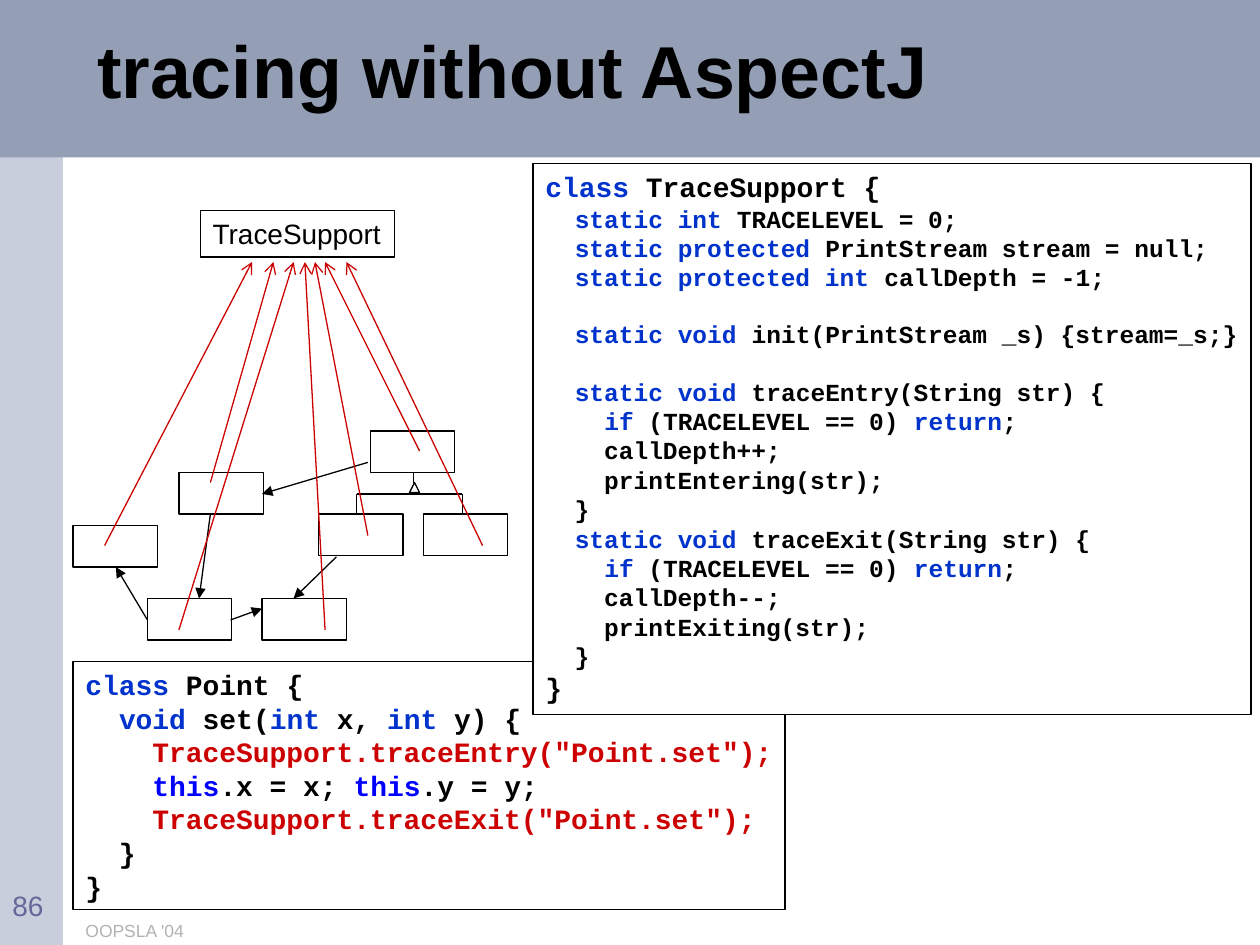
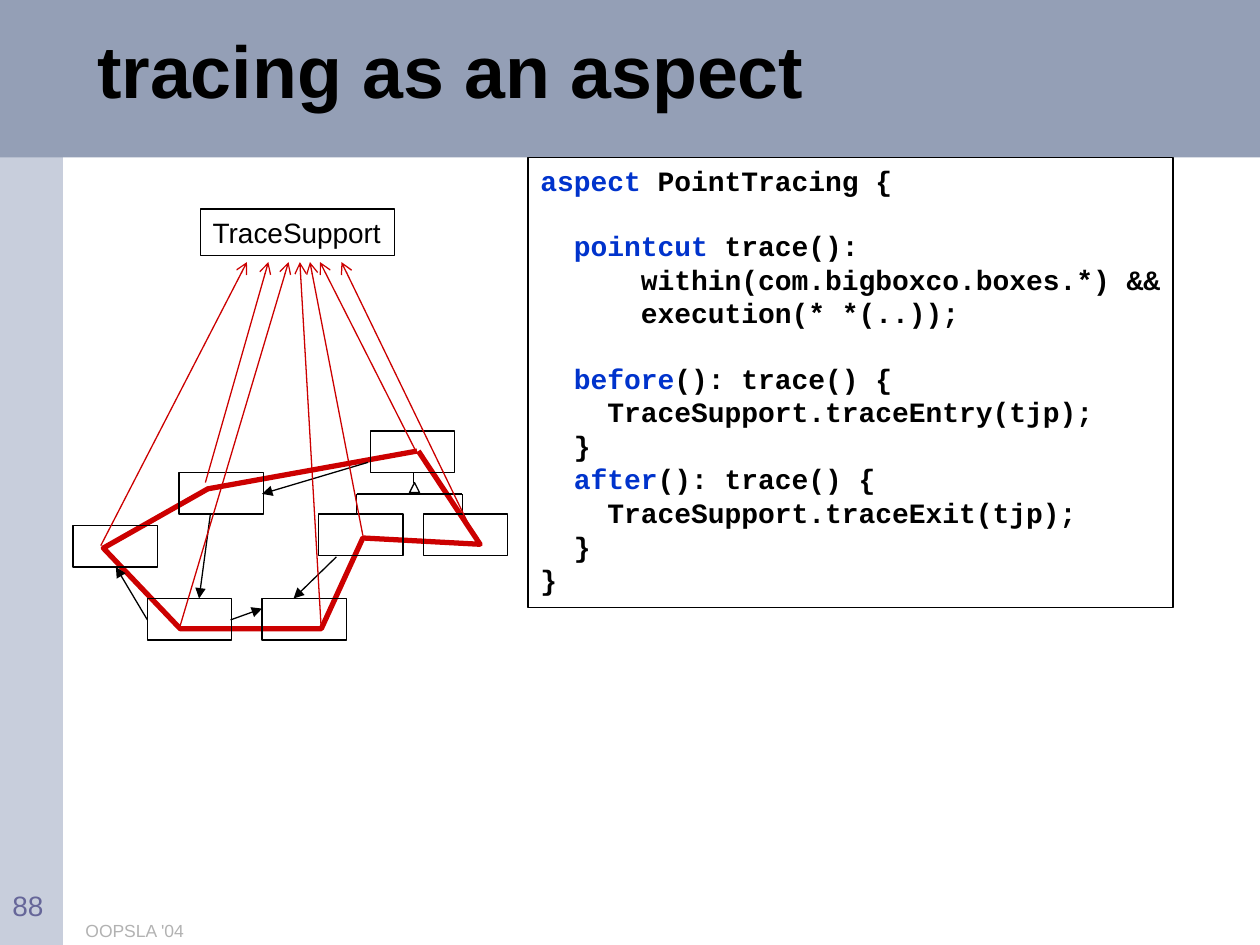
"""Build two slides comparing tracing code with and without an aspect."""
from lxml.etree import SubElement
from pptx import Presentation
from pptx.dml.color import RGBColor
from pptx.enum.shapes import MSO_CONNECTOR, MSO_SHAPE
from pptx.enum.text import MSO_ANCHOR, MSO_AUTO_SIZE, PP_ALIGN
from pptx.oxml.ns import qn
from pptx.util import Inches, Pt

COLORS = {
    "band": "949FB6", "side": "C8CEDC", "black": "000000", "white": "FFFFFF",
    "keyword": "0033CC", "this": "0000FF", "trace": "CC0000",
    "footer": "B2B2B2", "number": "666699",
}
SANS, MONO = "Arial", "Courier New"
LINE_HEIGHT = 1.13

# Backticks enclose keywords; a leading ~ marks a line of tracing code.
POINT_CODE = """\
`class` Point {
  `void` set(`int` x, `int` y) {
~    TraceSupport.traceEntry("Point.set");
    `this`.x = x; `this`.y = y;
~    TraceSupport.traceExit("Point.set");
  }
}"""

SUPPORT_CODE = """\
`class` TraceSupport {
  `static int` TRACELEVEL = 0;
  `static protected` PrintStream stream = null;
  `static protected int` callDepth = -1;

  `static void` init(PrintStream _s) {stream=_s;}

  `static void` traceEntry(String str) {
    `if` (TRACELEVEL == 0) `return`;
    callDepth++;
    printEntering(str);
  }
  `static void` traceExit(String str) {
    `if` (TRACELEVEL == 0) `return`;
    callDepth--;
    printExiting(str);
  }
}"""

ASPECT_CODE = """\
`aspect` PointTracing {

  `pointcut` trace():
      within(com.bigboxco.boxes.*) &&
      execution(* *(..));

  `before`(): trace() {
    TraceSupport.traceEntry(tjp);
  }
  `after`(): trace() {
    TraceSupport.traceExit(tjp);
  }
}"""

SLIDES = [
    {"title": "tracing without AspectJ", "number": "86", "label_top": 1.67,
     "tip_shift": 0, "outline": [],
     "callers": [(0.83, 4.33), (1.67, 3.83), (1.42, 5), (2.58, 5),
                 (2.92, 4.25), (3.33, 3.58), (3.83, 4.33)],
     "code": [(POINT_CODE, (0.58, 5.25, 5.65, 1.97), 16, None),
              (SUPPORT_CODE, (4.23, 1.3, 5.7, 4.37), 14, "white")]},
    {"title": "tracing as an aspect", "number": "88", "label_top": 1.66,
     "tip_shift": -0.04,
     "outline": [(3.31, 3.58), (1.65, 3.88), (0.82, 4.35), (1.43, 4.99),
                 (2.55, 4.99), (2.88, 4.27), (3.81, 4.32), (3.32, 3.58)],
     "callers": [(0.8, 4.33), (1.63, 3.83), (1.42, 5), (2.55, 5),
                 (2.88, 4.25), (3.3, 3.58), (3.8, 4.33)],
     "code": [(ASPECT_CODE, (4.19, 1.25, 5.12, 3.57), 16, None)]},
]
TIP_Y = 2.08
TIP_XS = [2, 2.17, 2.33, 2.42, 2.5, 2.58, 2.75]

CLASS_SIZE = (0.67, 0.33)
CLASSES = [(1.42, 3.75), (0.58, 4.17), (2.08, 4.75), (1.17, 4.75),
           (2.53, 4.08), (3.36, 4.08), (2.94, 3.42)]
REFERENCES = [((2.92, 3.67), (2.08, 3.92)), ((1.67, 4.08), (1.58, 4.75)),
              ((1.83, 4.92), (2.08, 4.83)), ((1.17, 4.92), (0.92, 4.5)),
              ((2.67, 4.42), (2.33, 4.75))]
INHERITANCE = [((2.83, 3.92), (3.67, 3.92)), ((2.83, 3.92), (2.83, 4.08)),
               ((3.67, 3.92), (3.67, 4.08)), ((3.28, 3.75), (3.28, 3.83))]


def rgb(name):
    return RGBColor.from_string(COLORS[name])


def style_font(font, size, color, name=SANS, bold=False):
    font.size, font.name, font.bold = Pt(size), name, bold
    font.color.rgb = rgb(color)


def add_box(shapes, at, fill=None, line="black", kind=MSO_SHAPE.RECTANGLE):
    sp = shapes.add_shape(kind, *map(Inches, at))
    sp.shadow.inherit = False
    if fill:
        sp.fill.solid()
        sp.fill.fore_color.rgb = rgb(fill)
    else:
        sp.fill.background()
    if line:
        sp.line.color.rgb = rgb(line)
        sp.line.width = Pt(0.75)
    else:
        sp.line.fill.background()
    return sp


def add_line(shapes, start, end, color="black", head=None):
    cxn = shapes.add_connector(MSO_CONNECTOR.STRAIGHT, *map(Inches, start + end))
    cxn.line.color.rgb = rgb(color)
    cxn.line.width = Pt(0.75)
    if head:
        SubElement(cxn.line._get_or_add_ln(), qn("a:tailEnd"), type=head)
    SubElement(cxn._element.spPr, qn("a:effectLst"))


def prepare_frame(sp, wrap=False):
    tf = sp.text_frame
    tf.word_wrap = wrap
    tf.auto_size = MSO_AUTO_SIZE.NONE
    tf.vertical_anchor = MSO_ANCHOR.TOP
    return tf


def write_line(sp, text, size, color, wrap=False):
    p = prepare_frame(sp, wrap).paragraphs[0]
    p.text = text
    p.alignment = PP_ALIGN.LEFT
    style_font(p.runs[0].font, size, color)


def add_code(shapes, code, at, body_size, fill):
    tf = prepare_frame(add_box(shapes, at, fill))
    lines = code.splitlines()
    p, gap = tf.paragraphs[0], 0
    for i, line in enumerate(lines):
        size = 16 if i in (0, len(lines) - 1) else body_size
        if not line:
            gap += size * LINE_HEIGHT
            continue
        if i:
            p = tf.add_paragraph()
        p.alignment = PP_ALIGN.LEFT
        if gap:
            p.space_before, gap = Pt(gap), 0
        plain = "trace" if line.startswith("~") else "black"
        for n, piece in enumerate(line.lstrip("~").split("`")):
            if piece:
                r = p.add_run()
                r.text = piece
                keyword = "this" if piece == "this" else "keyword"
                style_font(r.font, size, keyword if n % 2 else plain, MONO, True)


def add_class_diagram(slide):
    shapes = slide.shapes.add_group_shape().shapes
    for corner in CLASSES:
        add_box(shapes, corner + CLASS_SIZE)
    for start, end in REFERENCES:
        add_line(shapes, start, end, head="triangle")
    for start, end in INHERITANCE:
        add_line(shapes, start, end)
    add_box(shapes, (3.25, 3.83, 0.08, 0.08), kind=MSO_SHAPE.ISOSCELES_TRIANGLE)


def add_outline(slide, points):
    first, *rest = [tuple(map(Inches, point)) for point in points]
    builder = slide.shapes.build_freeform(*first)
    builder.add_line_segments(rest, close=False)
    sp = builder.convert_to_shape()
    sp.shadow.inherit = False
    sp.fill.background()
    sp.line.color.rgb = rgb("trace")
    sp.line.width = Pt(3)


def set_up_master(prs, slide):
    tree = prs.slide_master.shapes._spTree
    bands = [("side", (0, 0, 0.5, 7.5)), ("band", (0, 0, 10, 1.25))]
    for i, (color, at) in enumerate(bands):
        tree.insert(2 + i, add_box(slide.shapes, at, color, None)._element)


def add_title(slide, text):
    sp = slide.shapes.title
    sp.left, sp.top, sp.width, sp.height = map(Inches, (0.67, 0.08, 8.33, 1.05))
    write_line(sp, text, 42, "black", wrap=True)
    sp.text_frame.vertical_anchor = MSO_ANCHOR.MIDDLE
    p = sp.text_frame.paragraphs[0]
    p.line_spacing = 0.85
    p.runs[0].font.bold = True


def add_footer(slide, number):
    for text, at, size, color in [
            ("OOPSLA '04", (0.58, 7.25, 5.58, 0.25), 10, "footer"),
            (number, (0, 7, 0.67, 0.25), 16, "number")]:
        sp = slide.shapes.add_textbox(*map(Inches, at))
        write_line(sp, text, size, color, wrap=True)


def build_slide(slide, content):
    add_title(slide, content["title"])
    if content["outline"]:
        add_outline(slide, content["outline"])
    add_class_diagram(slide)
    label = add_box(slide.shapes, (1.59, content["label_top"], 1.54, 0.37))
    write_line(label, "TraceSupport", 16, "black")
    for start, x in zip(content["callers"], TIP_XS):
        tip = (x + content["tip_shift"], TIP_Y)
        add_line(slide.shapes, start, tip, "trace", "arrow")
    for block in content["code"]:
        add_code(slide.shapes, *block)
    add_footer(slide, content["number"])


def main():
    prs = Presentation()
    prs.slide_width, prs.slide_height = Inches(10), Inches(7.5)
    slides = [prs.slides.add_slide(prs.slide_layouts[5]) for _ in SLIDES]
    set_up_master(prs, slides[0])
    for slide, content in zip(slides, SLIDES):
        build_slide(slide, content)
    prs.save("out.pptx")


if __name__ == "__main__":
    main()
